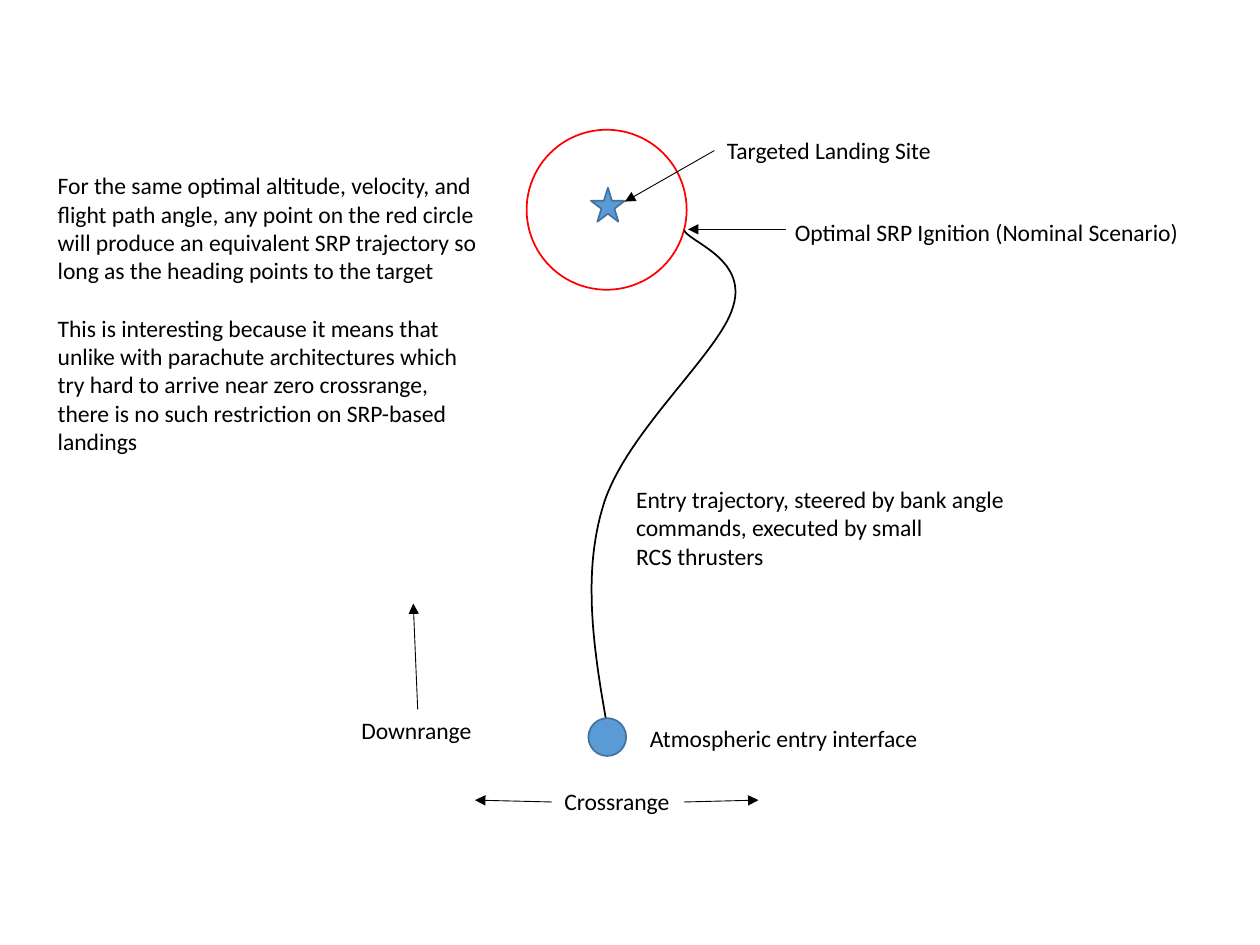
from lxml import etree
from pptx import Presentation
from pptx.dml.color import RGBColor
from pptx.enum.shapes import MSO_CONNECTOR, MSO_SHAPE
from pptx.enum.text import MSO_AUTO_SIZE
from pptx.oxml.ns import qn
from pptx.util import Inches, Pt

BLACK = RGBColor(0x00, 0x00, 0x00)
RED = RGBColor(0xFF, 0x00, 0x00)
BLUE = RGBColor(0x5B, 0x9B, 0xD5)
NAVY = RGBColor(0x43, 0x73, 0x9E)
STRAIGHT = MSO_CONNECTOR.STRAIGHT
OVAL = MSO_SHAPE.OVAL
STAR = MSO_SHAPE.STAR_5_POINT
GROW = MSO_AUTO_SIZE.SHAPE_TO_FIT_TEXT
TOP, LEFT, RIGHT = 0, 1, 3
COLS, ROWS = 100, 75
STEPS = 30


def bezier(start, bends):
    points = [start]
    for one, two, end in bends:
        for step in range(1, STEPS + 1):
            t = step / STEPS
            u = 1 - t
            points.append(tuple(
                u**3 * a + 3 * u * u * t * b + 3 * u * t * t * c + t**3 * d
                for a, b, c, d in zip(start, one, two, end)))
        start = end
    return points


class Sketch:
    font = "Calibri"
    size = Pt(13.5)
    thick = Pt(1)
    thin = Pt(0.5)

    def __init__(self, deck):
        self.slide = deck.slides.add_slide(deck.slide_layouts[6])
        self.shapes = self.slide.shapes
        self.col = deck.slide_width / COLS
        self.row = deck.slide_height / ROWS

    def place(self, x, y):
        return round(x * self.col), round(y * self.row)

    def style(self, shape, line, fill=None):
        shape.shadow.inherit = False
        shape.line.color.rgb = line
        shape.line.width = self.thick
        if fill is None:
            shape.fill.background()
        else:
            shape.fill.solid()
            shape.fill.fore_color.rgb = fill

    def mark(self, kind, x, y, side, line, fill=None):
        shape = self.shapes.add_shape(
            kind, *self.place(x, y), *self.place(side, side))
        self.style(shape, line, fill)

    def curve(self, start, bends):
        points = [self.place(*point) for point in bezier(start, bends)]
        pen = self.shapes.build_freeform(*points[0])
        pen.add_line_segments(points[1:], close=False)
        self.style(pen.convert_to_shape(), BLACK)

    def text(self, x, y, wide, high, *lines, wrap=False):
        box = self.shapes.add_textbox(
            *self.place(x, y), *self.place(wide, high))
        frame = box.text_frame
        frame.word_wrap = wrap
        frame.auto_size = GROW
        for index, line in enumerate(lines):
            para = frame.add_paragraph() if index else frame.paragraphs[0]
            run = para.add_run()
            run.text = line
            run.font.name = self.font
            run.font.size = self.size
            run.font.color.rgb = BLACK
        return box

    def label(self, x, y, wide, words):
        return self.text(x, y, wide, 3.3, words)

    def arrow(self, start, end, box=None, side=None):
        line = self.shapes.add_connector(
            STRAIGHT, *self.place(*start), *self.place(*end))
        if box is not None:
            line.begin_connect(box, side)
        line.line.color.rgb = BLACK
        line.line.width = self.thin
        stroke = line.line._get_or_add_ln()
        etree.SubElement(stroke, qn("a:tailEnd"), type="triangle")
        etree.SubElement(line._element.spPr, qn("a:effectLst"))


def main():
    deck = Presentation()
    deck.slide_width, deck.slide_height = Inches(10), Inches(7.5)
    art = Sketch(deck)

    art.mark(STAR, 46.9, 14.9, 2.7, NAVY, BLUE)
    art.mark(OVAL, 41.8, 10.3, 12.7, RED)
    art.curve((48.5, 59.3), [
        ((47.3, 52.8), (46.1, 46.2), (47.8, 40.4)),
        ((49.4, 34.5), (57.2, 28), (58.2, 24.3)),
        ((59.3, 20.6), (54.9, 19.3), (54.3, 18.3)),
    ])

    target = art.label(56.7, 10.3, 18.5, "Targeted Landing Site")
    art.arrow((56.7, 11.9), (49.6, 16), target, LEFT)
    art.label(62.1, 16.8, 33, "Optimal SRP Ignition (Nominal Scenario)")
    art.arrow((62.4, 18.2), (54.6, 18.2))
    art.text(49.5, 38, 32.8, 7.8,
             "Entry trajectory, steered by bank angle commands, "
             "executed by small", "RCS thrusters", wrap=True)
    art.label(50.6, 57, 23.6, "Atmospheric entry interface")

    down = art.label(27.7, 56.3, 10.9, "Downrange")
    art.arrow((33.1, 56.3), (32.8, 47.9), down, TOP)
    cross = art.label(43.8, 62, 10.5, "Crossrange")
    art.arrow((54.3, 63.7), (60.2, 63.5), cross, RIGHT)
    art.arrow((43.8, 63.7), (37.7, 63.5), cross, LEFT)

    art.text(3.6, 13.1, 37.7, 10.1,
             "For the same optimal altitude, velocity, and flight path "
             "angle, any point on the red circle will produce an equivalent "
             "SRP trajectory so long as the heading points to the target",
             wrap=True)
    art.mark(OVAL, 46.7, 57, 3, NAVY, BLUE)
    art.text(3.6, 24.4, 35, 12.4,
             "This is interesting because it means that unlike with "
             "parachute architectures which try hard to arrive near zero "
             "crossrange, there is no such restriction on SRP-based landings",
             wrap=True)

    deck.save("out.pptx")


if __name__ == "__main__":
    main()
